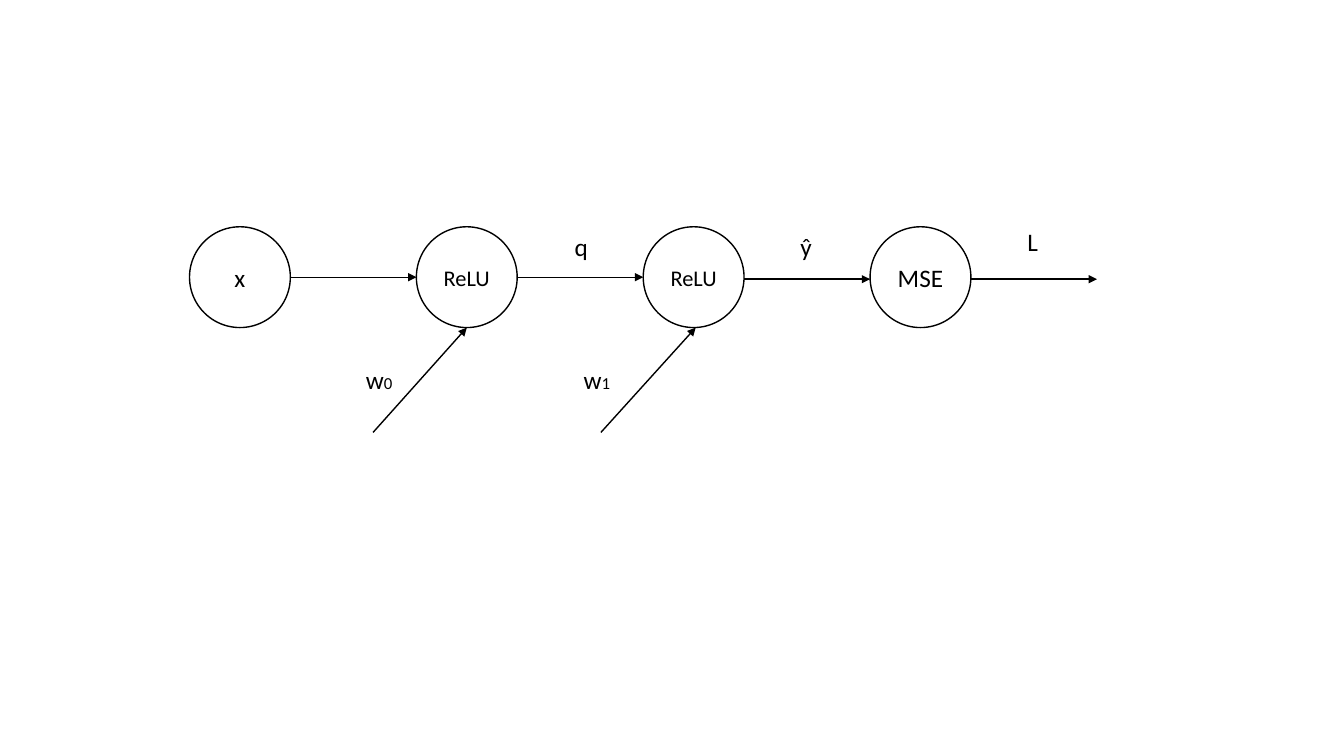
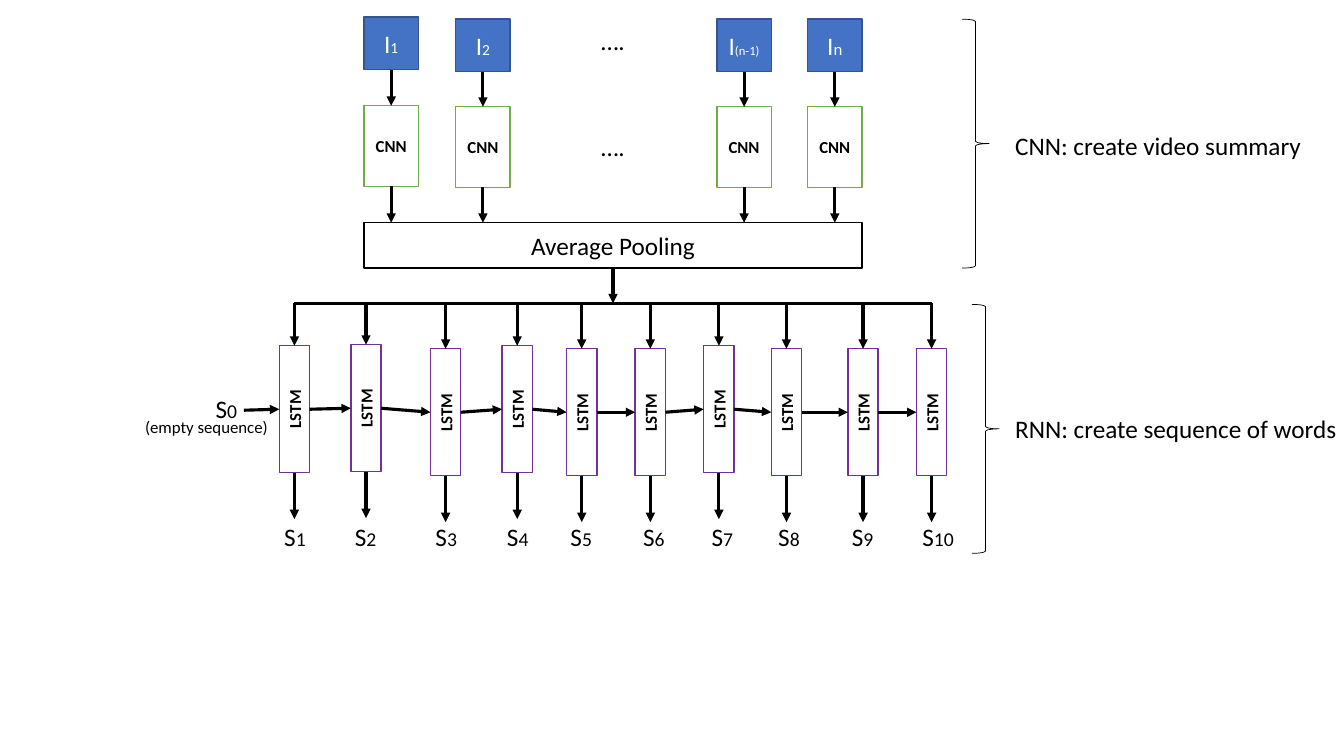
from dataclasses import dataclass
from itertools import pairwise
from typing import NamedTuple

from lxml import etree
from pptx import Presentation
from pptx.dml.color import RGBColor as Rgb
from pptx.enum.shapes import MSO_CONNECTOR as Connector, MSO_SHAPE as Preset
from pptx.enum.text import MSO_ANCHOR as Vertical, MSO_AUTO_SIZE as AutoSize, PP_ALIGN as Align
from pptx.oxml.ns import qn
from pptx.shapes.autoshape import Shape
from pptx.slide import Slide
from pptx.util import Emu, Pt

EMU_PER_PX = 9144
TOP, LEFT, BOTTOM, RIGHT = range(4)


@dataclass(frozen=True)
class Theme:
    font: str = "Calibri"
    ink: str = "000000"
    paper: str = "FFFFFF"
    image_fill: str = "4472C4"
    image_line: str = "325491"
    cnn_line: str = "70AD47"
    lstm_line: str = "7030A0"
    body: int = 18
    relu: int = 16
    index: int = 14
    small: int = 12
    image_index: int = 11
    long_index: int = 9
    hairline: float = 0.5
    thin: float = 1
    thick: float = 2.25


THEME = Theme()


class Point(NamedTuple):
    x: int
    y: int


class Joint(NamedTuple):
    box: Shape
    side: int


class Area(NamedTuple):
    left: int
    top: int
    width: int
    height: int


@dataclass(frozen=True)
class Label:
    text: str
    size: int = THEME.body
    index: str = ""
    index_size: int = THEME.index
    color: str = THEME.ink
    bold: bool = False


@dataclass(frozen=True)
class Look:
    line: str | None = THEME.ink
    fill: str | None = THEME.paper
    weight: float = THEME.thin


@dataclass(frozen=True)
class Frame:
    left: int
    image_top: int
    cnn_top: int
    index: str
    index_size: int


@dataclass(frozen=True)
class Step:
    center: int
    top: int
    label_left: int


def px(length: int) -> Emu:
    return Emu(length * EMU_PER_PX)


def write(shape: Shape, label: Label, align: Align) -> None:
    para = shape.text_frame.paragraphs[0]
    para.alignment = align
    para.font.name = THEME.font
    para.font.size = Pt(label.size)
    para.font.bold = label.bold
    para.font.color.rgb = Rgb.from_string(label.color)
    para.add_run().text = label.text
    if label.index:
        span = para.add_run()
        span.text = label.index
        span.font.size = Pt(label.index_size)


def add_box(page: Slide, preset: Preset, area: Area, look: Look, label: Label | None = None) -> Shape:
    box = page.shapes.add_shape(preset, *map(px, area))
    box.shadow.inherit = False
    if look.fill:
        box.fill.solid()
        box.fill.fore_color.rgb = Rgb.from_string(look.fill)
    else:
        box.fill.background()
    if look.line:
        box.line.color.rgb = Rgb.from_string(look.line)
        box.line.width = Pt(look.weight)
    else:
        box.line.fill.background()
    if label:
        box.text_frame.word_wrap = True
        box.text_frame.vertical_anchor = Vertical.MIDDLE
        write(box, label, Align.CENTER)
    return box


def add_text(page: Slide, area: Area, label: Label) -> None:
    box = page.shapes.add_textbox(*map(px, area))
    box.text_frame.word_wrap = False
    box.text_frame.auto_size = AutoSize.SHAPE_TO_FIT_TEXT
    write(box, label, Align.LEFT)


def add_link(page: Slide, start: Point | Joint, end: Point | Joint,
             weight: float = THEME.thick, arrow: bool = True) -> None:
    corners = [point if isinstance(point, Point) else Point(0, 0) for point in (start, end)]
    link = page.shapes.add_connector(
        Connector.STRAIGHT, *(px(value) for point in corners for value in point))
    if isinstance(start, Joint):
        link.begin_connect(start.box, start.side)
    if isinstance(end, Joint):
        link.end_connect(end.box, end.side)
    link.line.color.rgb = Rgb.from_string(THEME.ink)
    link.line.width = Pt(weight)
    if arrow:
        etree.SubElement(link.line._get_or_add_ln(), qn("a:tailEnd"), type="triangle")
    etree.SubElement(link._element.spPr, qn("a:effectLst"))


def turn_text_upward(box: Shape) -> None:
    frame = box.text_frame
    frame.margin_left = frame.margin_right = px(5)
    frame.margin_top = frame.margin_bottom = px(10)
    frame._txBody.bodyPr.set("vert", "vert270")


def draw_network(page: Slide) -> None:
    first_left, pitch, top, diameter = 188, 225, 225, 100
    nodes = (
        Label("x"),
        Label("ReLU", THEME.relu),
        Label("ReLU", THEME.relu),
        Label("MSE"),
    )
    for number, (node, arrow_y) in enumerate(zip(nodes, (275, 275, 277, 277))):
        left = first_left + number * pitch
        add_box(page, Preset.OVAL, Area(left, top, diameter, diameter), Look(), node)
        add_link(page, Point(left + diameter, arrow_y), Point(left + pitch, arrow_y), THEME.thin)

    for start_x, tip_x in ((370, 463), (596, 690)):
        add_link(page, Point(start_x, 429), Point(tip_x, top + diameter), THEME.thin)

    for area, label in (
        (Area(1009, 220, 31, 40), Label("L")),
        (Area(784, 225, 32, 40), Label("ŷ")),
        (Area(560, 225, 34, 40), Label("q")),
        (Area(353, 357, 48, 40), Label("w", index="0", index_size=THEME.small)),
        (Area(569, 357, 48, 40), Label("w", index="1", index_size=THEME.small)),
    ):
        add_text(page, area, label)


FRAMES = (
    Frame(361, 17, 105, "1", THEME.image_index),
    Frame(452, 19, 106, "2", THEME.image_index),
    Frame(711, 19, 106, "(n-1)", THEME.long_index),
    Frame(801, 19, 106, "n", THEME.small),
)

STEPS = (
    Step(292, 343, 272),
    Step(363, 342, 342),
    Step(442, 346, 422),
    Step(513, 343, 493),
    Step(577, 346, 556),
    Step(645, 346, 628),
    Step(713, 343, 696),
    Step(780, 346, 762),
    Step(856, 346, 835),
    Step(924, 346, 905),
)

BUS_Y = 301


def draw_encoder(page: Slide) -> None:
    width, image_height, cnn_height = 54, 52, 80
    pooling_area = Area(361, 221, 494, 45)
    pooling = add_box(page, Preset.RECTANGLE, pooling_area, Look(fill=None), Label("Average Pooling"))
    image_look = Look(THEME.image_line, THEME.image_fill)
    cnn_look = Look(THEME.cnn_line)
    for frame in FRAMES:
        image = add_box(
            page, Preset.RECTANGLE, Area(frame.left, frame.image_top, width, image_height), image_look,
            Label("I", index=frame.index, index_size=frame.index_size, color=THEME.paper))
        cnn = add_box(
            page, Preset.RECTANGLE, Area(frame.left, frame.cnn_top, width, cnn_height), cnn_look,
            Label("CNN", THEME.small, bold=True))
        add_link(page, Joint(image, BOTTOM), Joint(cnn, TOP))
        add_link(page, Joint(cnn, BOTTOM), Point(frame.left + width // 2, pooling_area.top))
    for top, height in ((14, image_height), (105, cnn_height)):
        add_box(page, Preset.RECTANGLE, Area(581, top, width, height), Look(line=None), Label("…."))
    add_link(page, Joint(pooling, BOTTOM), Point(pooling_area.left + pooling_area.width // 2, BUS_Y))


def draw_decoder(page: Slide) -> None:
    width, height, output_length = 30, 126, 46
    add_link(page, Point(STEPS[0].center, BUS_Y), Point(STEPS[-1].center, BUS_Y), arrow=False)
    cells = []
    for number, step in enumerate(STEPS, start=1):
        cell = add_box(
            page, Preset.RECTANGLE, Area(step.center - width // 2, step.top, width, height),
            Look(THEME.lstm_line), Label("LSTM", THEME.small, bold=True))
        turn_text_upward(cell)
        cells.append(cell)
        add_link(page, Point(step.center, BUS_Y), Joint(cell, TOP))
        add_link(page, Joint(cell, BOTTOM), Point(step.center, step.top + height + output_length))
        label_width = 42 if number < 10 else 52
        add_text(page, Area(step.label_left, 512, label_width, 40), Label("S", index=str(number)))
    for cell, following in pairwise(cells):
        add_link(page, Joint(cell, RIGHT), Joint(following, LEFT))

    add_text(page, Area(204, 385, 42, 40), Label("S", index="0"))
    add_text(page, Area(134, 409, 143, 30), Label("(empty sequence)", THEME.small))
    add_link(page, Point(242, 407), Joint(cells[0], LEFT))


def draw_captions(page: Slide) -> None:
    brace_look = Look(fill=None, weight=THEME.hairline)
    for brace_left, brace_top, text_top, text_width, text in (
        (954, 19, 124, 308, "CNN: create video summary"),
        (964, 302, 405, 343, "RNN: create sequence of words"),
    ):
        add_box(page, Preset.RIGHT_BRACE, Area(brace_left, brace_top, 27, 247), brace_look)
        add_text(page, Area(997, text_top, text_width, 40), Label(text))


def draw_captioner(page: Slide) -> None:
    draw_encoder(page)
    draw_decoder(page)
    draw_captions(page)


def main() -> None:
    deck = Presentation()
    deck.slide_width, deck.slide_height = px(1333), px(750)
    blank = deck.slide_layouts[6]
    for draw in (draw_network, draw_captioner):
        draw(deck.slides.add_slide(blank))
    deck.save("out.pptx")


if __name__ == "__main__":
    main()
